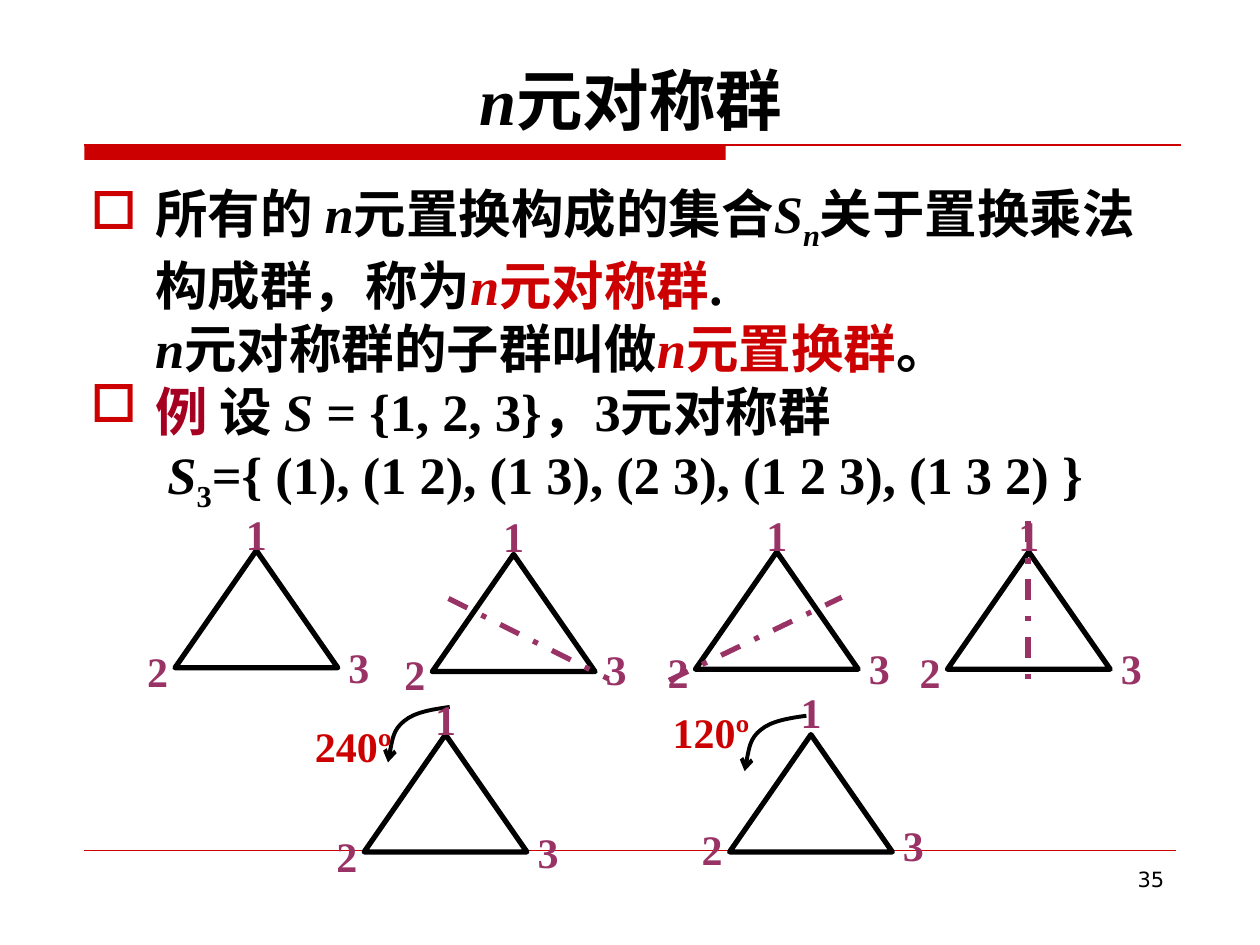
from lxml import etree
from pptx import Presentation
from pptx.dml.color import RGBColor
from pptx.enum.dml import MSO_LINE
from pptx.enum.shapes import MSO_CONNECTOR, MSO_SHAPE
from pptx.enum.text import MSO_ANCHOR, PP_ALIGN
from pptx.oxml.ns import qn
from pptx.util import Pt

DASH = MSO_LINE.DASH_DOT
LINE = MSO_CONNECTOR.STRAIGHT
BOX, TRI = MSO_SHAPE.RECTANGLE, MSO_SHAPE.ISOSCELES_TRIANGLE
TOP, LOW = MSO_ANCHOR.TOP, MSO_ANCHOR.BOTTOM
LEFT, MID, RIGHT = PP_ALIGN.LEFT, PP_ALIGN.CENTER, PP_ALIGN.RIGHT

SERIF, SANS = "Times New Roman", "DejaVu Sans"
BLACK, RED, WINE, PLUM = "000000", "CC0000", "A50021", "993366"

# Runs: text, then marks (i = italic, s = subscript), then colour
TITLE = [("n", "i"), ("元对称群",)]
BODY = [
    (True, 37, [("所有的 ",), ("n", "i"), ("元置换构成的集合",), ("S", "i"),
                ("n", "is"), ("关于置换乘法构成群，称为",), ("n", "i", RED),
                ("元对称群", "", RED), (".",)]),
    (False, 37, [("n", "i"), ("元对称群的子群叫做",), ("n", "i", RED),
                 ("元置换群", "", RED), ("。",)]),
    (True, 37, [("例 ", "", WINE), ("设 ",), ("S ", "i"),
                ("= {1, 2, 3}，3元对称群",)]),
    (False, 44, [("S", "i"), ("3", "s"),
                 ("={ (1), (1 2), (1 3), (2 3), (1 2 3), (1 3 2) }",)]),
]

# Triangles: corner, label shift, then a mirror axis or a turn
FIGS = [
    {"at": (100, 314.6), "shift": 0.5},
    {"at": (247, 316.8), "shift": -0.5, "axis": (256.3, 342, 347.8, 388)},
    {"at": (397.4, 315.4), "shift": 0, "axis": (382.3, 388.8, 481, 341.3)},
    {"at": (541.4, 315.4), "shift": 0, "axis": (587.5, 298, 587.5, 396.7)},
    {"at": (416.9, 419.8), "shift": -3, "turn": "120º",
     "mark": (377.3, 400.3), "start": (460.8, 409)},
    {"at": (208.1, 419.8), "shift": 0.7, "turn": "240º",
     "mark": (172.8, 408.2), "start": (257, 404)},
]
WIDE, TALL = 93, 67
LABELS = [("1", 33.5, -28), ("2", -23, 50.5), ("3", 92, 48)]
# Two cubic curves: three points each, from the start of the arrow
ARC = [(-10, 1.4), (-20, 3), (-26, 8), (-32.4, 13), (-34.6, 27), (-35.3, 31.7)]


def paint(color):
    return RGBColor.from_string(color)


def add_tag(parent, name, **attrs):
    return etree.SubElement(parent, qn(name), attrs)


def add_text(shapes, box, paras, size=24, font=SERIF, color=BLACK, bold=True,
             align=LEFT, anchor=TOP):
    """Each paragraph is (bullet, left margin, runs)."""
    frame = shapes.add_textbox(*map(Pt, box)).text_frame
    frame.word_wrap = True
    frame.vertical_anchor = anchor
    for i, (bullet, margin, runs) in enumerate(paras):
        para = frame.add_paragraph() if i else frame.paragraphs[0]
        para.alignment = align
        props = para._p.get_or_add_pPr()
        props.set("marL", str(Pt(margin)))
        props.set("indent", str(-Pt(margin) if bullet else 0))
        if bullet:
            add_tag(add_tag(props, "a:buClr"), "a:srgbClr", val=RED)
            add_tag(props, "a:buChar", char="□")
        for text, *style in runs:
            marks, tint = (style + ["", color][len(style):])
            run = para.add_run()
            run.text = text
            run.font.name, run.font.size = font, Pt(size)
            run.font.bold, run.font.italic = bold, "i" in marks
            run.font.color.rgb = paint(tint)
            if "s" in marks:
                run._r.get_or_add_rPr().set("baseline", "-25000")


def add_line(shapes, ends, color, width, dash=None):
    line = shapes.add_connector(LINE, *map(Pt, ends))
    line.line.color.rgb, line.line.width = paint(color), Pt(width)
    if dash:
        line.line.dash_style = dash
    add_tag(line._element.spPr, "a:effectLst")


def add_arc(shapes, x, y):
    pen = shapes.build_freeform(Pt(x), Pt(y))
    pen.add_line_segments([(Pt(x + dx), Pt(y + dy)) for dx, dy in ARC],
                          close=False)
    arc = pen.convert_to_shape()
    # Join each three points into one curve
    steps = list(arc._element.iter(qn("a:lnTo")))
    for i in range(0, len(steps), 3):
        steps[i].tag = qn("a:cubicBezTo")
        for step in steps[i + 1:i + 3]:
            steps[i].append(step[0])
            step.getparent().remove(step)
    arc.shadow.inherit = False
    arc.fill.background()
    arc.line.color.rgb, arc.line.width = paint(BLACK), Pt(2.25)
    add_tag(arc.line._get_or_add_ln(), "a:tailEnd", type="arrow")


def add_fig(shapes, fig):
    x, y = fig["at"]
    tri = shapes.add_shape(TRI, Pt(x), Pt(y), Pt(WIDE), Pt(TALL))
    tri.shadow.inherit = False
    tri.fill.background()
    tri.line.color.rgb, tri.line.width = paint(BLACK), Pt(3)
    if "axis" in fig:
        add_line(shapes, fig["axis"], PLUM, 3, DASH)
    if "turn" in fig:
        add_arc(shapes, *fig["start"])
        add_text(shapes, (*fig["mark"], 62, 36),
                 [(False, 0, [(fig["turn"],)])], color=RED)
    for text, dx, dy in LABELS:
        add_text(shapes, (x + dx, y + dy + fig["shift"], 26.7, 36),
                 [(False, 0, [(text,)])], color=PLUM)


def main():
    deck = Presentation()
    deck.slide_width, deck.slide_height = Pt(720), Pt(540)
    shapes = deck.slides.add_slide(deck.slide_layouts[6]).shapes

    # Rules
    bar = shapes.add_shape(BOX, Pt(48.2), Pt(82.8), Pt(366.5), Pt(8.6))
    bar.shadow.inherit = False
    bar.fill.solid()
    bar.fill.fore_color.rgb = paint(RED)
    bar.line.fill.background()
    add_line(shapes, (48.2, 82.8, 674.6, 82.8), RED, 0.75)
    add_line(shapes, (48.2, 486, 671.8, 486), RED, 0.25)

    # Text
    add_text(shapes, (44.6, 100, 630, 379.5), BODY, size=30)
    add_text(shapes, (516.2, 491.8, 156.2, 37.4), [(False, 0, [("35",)])],
             size=12, font=SANS, bold=False, align=RIGHT)
    add_text(shapes, (45.4, 23.8, 630, 59), [(False, 0, TITLE)], size=38,
             align=MID, anchor=LOW)

    # Triangles
    for fig in FIGS:
        add_fig(shapes.add_group_shape().shapes, fig)

    deck.save("out.pptx")


if __name__ == "__main__":
    main()
